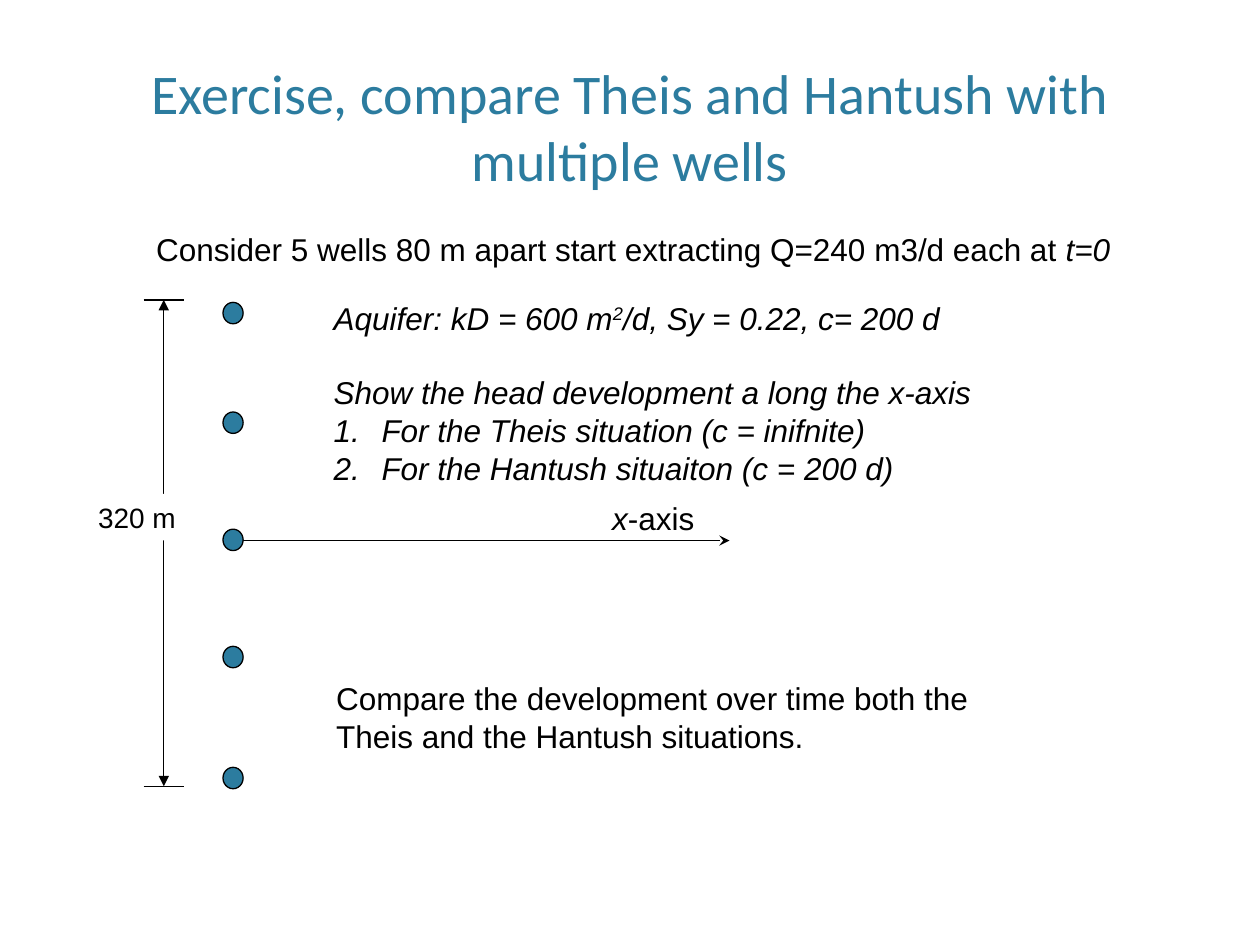
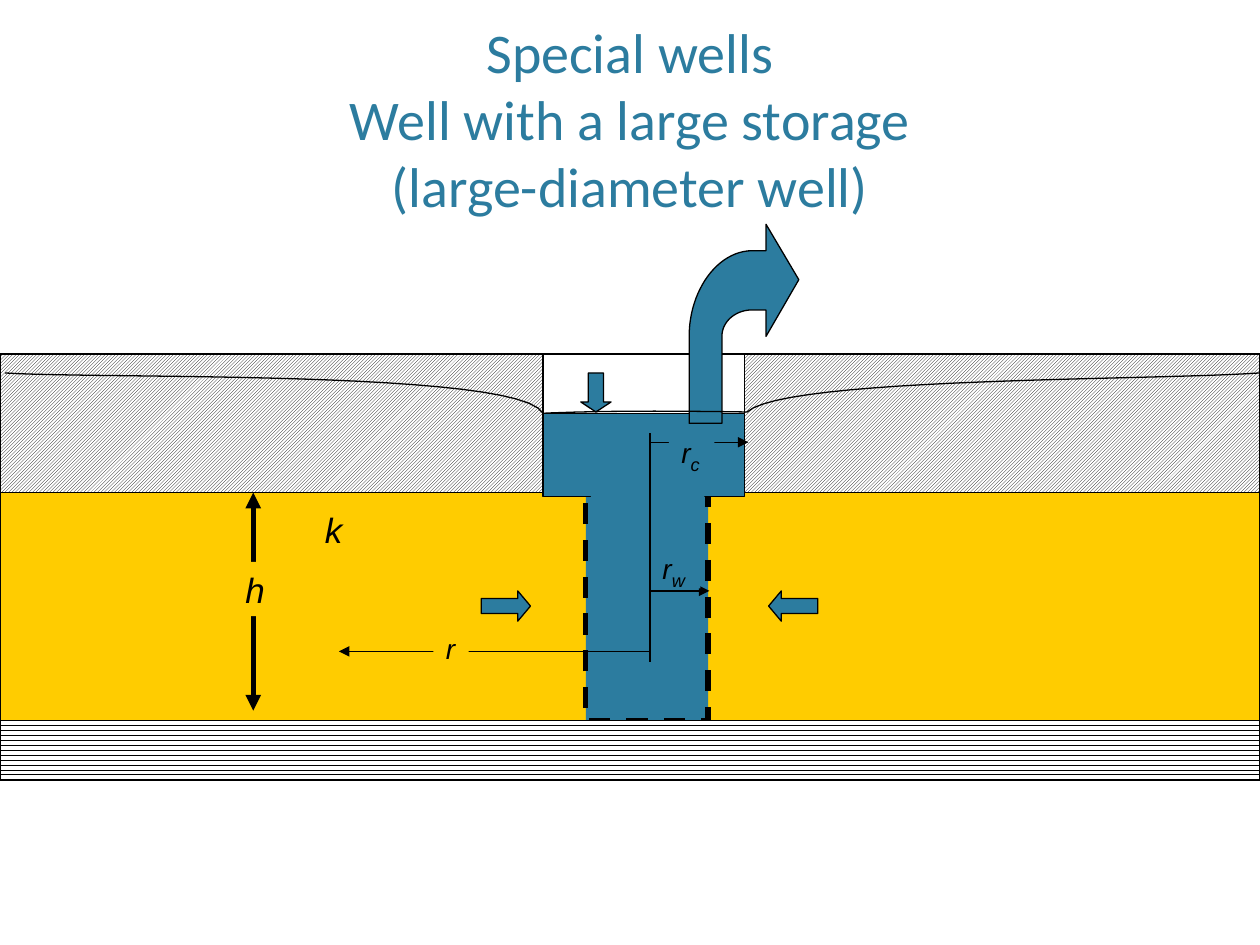
from dataclasses import dataclass
from typing import Optional

from lxml.etree import SubElement
from pptx import Presentation
from pptx.dml.color import RGBColor
from pptx.enum.dml import MSO_LINE_DASH_STYLE as Dash, MSO_PATTERN_TYPE as Pattern
from pptx.enum.shapes import MSO_CONNECTOR as Connector, MSO_SHAPE as Kind
from pptx.enum.text import MSO_ANCHOR as Anchor, MSO_AUTO_SIZE as AutoSize, PP_ALIGN as Align
from pptx.oxml.ns import qn
from pptx.util import Inches, Pt

BLACK = RGBColor(0x00, 0x00, 0x00)
WHITE = RGBColor(0xFF, 0xFF, 0xFF)
BLUE = RGBColor(0x2C, 0x7C, 0x9F)
SAND = RGBColor(0xFF, 0xCC, 0x00)
THIN, THICK = 0.75, 3
CURVE_STEPS = 24
WELL_TOPS = (2.4, 3.27, 4.2, 5.13, 6.09)


@dataclass
class Span:
    """A stretch of text with one format."""
    text: str
    italic: bool = False
    size: Optional[float] = None
    baseline: int = 0


@dataclass
class Para:
    """A paragraph of spans, numbered if asked."""
    spans: list[Span]
    numbered: bool = False
    space_before: float = 0


@dataclass
class Block:
    """A preset shape with its place and look."""
    kind: Kind
    left: float
    top: float
    width: float
    height: float
    fill: Optional[RGBColor] = None
    line: float = 0
    pattern: Optional[Pattern] = None
    dash: Optional[Dash] = None
    adjust: tuple = ()


@dataclass
class Stroke:
    """A straight line with optional arrowheads."""
    start: tuple[float, float]
    end: tuple[float, float]
    width: float = THIN
    head: str = ""
    tail: str = ""


@dataclass
class Label:
    """A text box that fits its words."""
    left: float
    top: float
    width: float
    height: float
    paras: list[Para]
    size: float = 18
    fill: Optional[RGBColor] = None
    wrap: bool = False


def write(frame, paras: list[Para], size: float = 18, font: str = "Arial",
          color: RGBColor = BLACK, align: Align = Align.LEFT) -> None:
    """Fill a text frame with formatted paragraphs."""
    for index, item in enumerate(paras):
        para = frame.add_paragraph() if index else frame.paragraphs[0]
        para.alignment = align
        if item.space_before:
            para.space_before = Pt(item.space_before)
        if item.numbered:
            properties = para._p.get_or_add_pPr()
            properties.set("marL", str(Inches(0.38)))
            properties.set("indent", str(-Inches(0.38)))
            SubElement(properties, qn("a:buFont"), typeface="+mj-lt")
            SubElement(properties, qn("a:buAutoNum"), type="arabicPeriod")
        for span in item.spans:
            run = para.add_run()
            run.text = span.text
            run.font.name = font
            run.font.size = Pt(span.size or size)
            run.font.italic = span.italic
            run.font.color.rgb = color
            if span.baseline:
                run._r.get_or_add_rPr().set("baseline", str(span.baseline * 1000))


def place(shape, left: float, top: float, width: float, height: float) -> None:
    """Set the frame of a shape in inches."""
    shape.left, shape.top = Inches(left), Inches(top)
    shape.width, shape.height = Inches(width), Inches(height)


def add_page(deck, title: list[str], top: float, height: float):
    """Add a title-only page with its title styled."""
    page = deck.slides.add_slide(deck.slide_layouts[5])
    box = page.shapes.title
    place(box, 0.6, top, 8.8, height)
    frame = box.text_frame
    frame.auto_size = AutoSize.NONE
    frame.vertical_anchor = Anchor.BOTTOM
    write(frame, [Para([Span(text)]) for text in title], size=32, font="Calibri",
          color=BLUE, align=Align.CENTER)
    return page


def outline(shape, width: float) -> None:
    """Give a shape a black line, or none."""
    if width:
        shape.line.color.rgb = BLACK
        shape.line.width = Pt(width)
    else:
        shape.line.fill.background()


def draw_block(page, block: Block) -> None:
    """Draw a preset shape."""
    shape = page.shapes.add_shape(block.kind, Inches(block.left), Inches(block.top),
                                  Inches(block.width), Inches(block.height))
    shape.shadow.inherit = False
    for index, value in enumerate(block.adjust):
        shape.adjustments[index] = value
    if block.pattern:
        shape.fill.patterned()
        shape.fill.pattern = block.pattern
        shape.fill.fore_color.rgb = BLACK
        shape.fill.back_color.rgb = WHITE
    else:
        shape.fill.solid()
        shape.fill.fore_color.rgb = block.fill
    outline(shape, block.line)
    if block.dash:
        shape.line.dash_style = block.dash


def draw_stroke(page, stroke: Stroke) -> None:
    """Draw a line with its arrowheads."""
    points = [Inches(value) for value in (*stroke.start, *stroke.end)]
    line = page.shapes.add_connector(Connector.STRAIGHT, *points)
    outline(line, stroke.width)
    for tag, end in (("a:headEnd", stroke.head), ("a:tailEnd", stroke.tail)):
        if end:
            SubElement(line.line._get_or_add_ln(), qn(tag), type=end)
    SubElement(line._element.spPr, qn("a:effectLst"))


def draw_label(page, label: Label) -> None:
    """Draw a text box, filled if asked."""
    box = page.shapes.add_textbox(Inches(label.left), Inches(label.top),
                                  Inches(label.width), Inches(label.height))
    if label.fill is not None:
        box.fill.solid()
        box.fill.fore_color.rgb = label.fill
    box.text_frame.word_wrap = label.wrap
    box.text_frame.auto_size = AutoSize.SHAPE_TO_FIT_TEXT
    write(box.text_frame, label.paras, size=label.size)


def draw_outline(page, start: tuple, steps: list[tuple], fill: Optional[RGBColor] = None) -> None:
    """Draw a freeform whose steps are points or cubic curves."""
    points = [start]
    for step in steps:
        if len(step) == 2:
            points.append(step)
            continue
        controls = (points[-1], step[:2], step[2:4], step[4:])
        for index in range(1, CURVE_STEPS + 1):
            t = index / CURVE_STEPS
            weights = ((1 - t) ** 3, 3 * t * (1 - t) ** 2, 3 * t * t * (1 - t), t ** 3)
            points.append(tuple(sum(w * c[axis] for w, c in zip(weights, controls))
                                for axis in (0, 1)))
    scaled = [(Inches(x), Inches(y)) for x, y in points]
    builder = page.shapes.build_freeform(*scaled[0])
    builder.add_line_segments(scaled[1:], close=fill is not None)
    shape = builder.convert_to_shape()
    shape.shadow.inherit = False
    if fill is None:
        shape.fill.background()
    else:
        shape.fill.solid()
        shape.fill.fore_color.rgb = fill
    outline(shape, THIN)


def draw_all(page, items: list) -> None:
    """Draw blocks, strokes and labels from back to front."""
    painters = {Block: draw_block, Stroke: draw_stroke, Label: draw_label}
    for item in items:
        painters[type(item)](page, item)


def symbol(left: float, top: float, width: float, height: float, text: str,
           fill: RGBColor, size: float = 16, index: str = "") -> Label:
    """Make an italic symbol label with an optional subscript."""
    spans = [Span(text, True)]
    if index:
        spans.append(Span(index, True, 18, -25))
    return Label(left, top, width, height, [Para(spans)], size, fill)


def build_exercise(deck) -> None:
    """Build the page with the row of five wells."""
    page = add_page(deck, ["Exercise, compare Theis and Hantush with multiple wells"], 0.12, 1.46)
    aquifer = [
        Para([Span("Aquifer: kD = 600 m", True), Span("2", True, baseline=30),
              Span("/d, Sy = 0.22, c= 200 d", True)]),
        Para([Span("Show the head development a long the x-axis", True)], space_before=21),
        Para([Span("For the Theis situation (c = inifnite)", True)], numbered=True),
        Para([Span("For the Hantush situaiton (c = 200 d)", True)], numbered=True),
    ]
    comparison = [Para([Span("Compare the development over time both the")]),
                  Para([Span("Theis and the Hantush situations.")])]
    intro = [Para([Span("Consider 5 wells 80 m apart start extracting Q=240 m3/d each at "),
                   Span("t=0", True)])]
    draw_all(page, [
        *(Stroke((1.14, y), (1.46, y)) for y in (2.38, 6.24)),
        Stroke((1.93, 4.29), (5.79, 4.29), tail="stealth"),
        Stroke((1.3, 6.24), (1.3, 2.38), head="triangle", tail="triangle"),
        Label(0.68, 3.92, 0.83, 0.37, [Para([Span("320 m")])], 16, WHITE),
        Label(2.55, 2.32, 6.46, 1.62, aquifer, wrap=True),
        Label(2.57, 5.34, 5.26, 0.71, comparison),
        Label(4.76, 3.91, 0.86, 0.4, [Para([Span("x", True), Span("-axis")])]),
        *(Block(Kind.OVAL, 1.77, top, 0.16, 0.17, BLUE, THIN) for top in WELL_TOPS),
        Label(1.14, 1.78, 7.85, 0.4, intro),
    ])


def build_large_well(deck) -> None:
    """Build the page with the cross-section of a large-diameter well."""
    page = add_page(deck, ["Special wells", "Well with a large storage",
                           "(large-diameter well)"], 1.15, 0.64)
    draw_all(page, [
        Block(Kind.RECTANGLE, 0, 3.28, 10, 2.44, SAND, THIN),
        Block(Kind.RECTANGLE, 4.65, 3.91, 0.97, 1.81, BLUE, THICK, dash=Dash.DASH),
        Block(Kind.RECTANGLE, 0, 5.72, 10, 0.47, line=THIN, pattern=Pattern.WAVE),
        Block(Kind.RECTANGLE, 0, 2.81, 10, 1.1, line=THIN,
              pattern=Pattern.LIGHT_UPWARD_DIAGONAL),
        Stroke((2.01, 3.91), (2.01, 5.64), THICK, "triangle", "triangle"),
        symbol(1.85, 4.46, 0.36, 0.43, "h", SAND, 20),
        Stroke((5.16, 5.17), (2.69, 5.17), tail="triangle"),
        symbol(3.44, 4.96, 0.28, 0.37, "r", SAND),
        Block(Kind.RECTANGLE, 4.31, 2.81, 1.6, 1.12, WHITE, THIN),
        Block(Kind.RECTANGLE, 4.31, 3.28, 1.6, 0.66, BLUE, THIN),
        Block(Kind.RECTANGLE, 4.69, 3.75, 0.9, 0.49, BLUE),
    ])
    draw_outline(page, (6.34, 2.22), [
        (6.08, 1.78), (6.08, 1.99), (5.97, 1.99), (5.7, 1.99, 5.47, 2.3, 5.47, 2.67),
        (5.47, 3.36), (5.73, 3.36), (5.73, 2.67), (5.73, 2.55, 5.84, 2.46, 5.97, 2.46),
        (6.08, 2.46), (6.08, 2.67)], BLUE)
    draw_all(page, [
        Stroke((5.16, 3.51), (5.94, 3.51), tail="triangle"),
        Stroke((5.16, 4.69), (5.63, 4.69), tail="triangle"),
        symbol(5.31, 3.38, 0.36, 0.37, "r", BLUE, index="c"),
        symbol(5.16, 4.3, 0.4, 0.37, "r", BLUE, index="w"),
        Stroke((5.16, 3.44), (5.16, 5.25)),
        Block(Kind.DOWN_ARROW, 4.61, 2.96, 0.24, 0.31, BLUE, THIN, adjust=(0.5, 0.33)),
        Block(Kind.RIGHT_ARROW, 3.82, 4.69, 0.39, 0.24, BLUE, THIN, adjust=(0.5, 0.42)),
        Block(Kind.LEFT_ARROW, 6.1, 4.69, 0.39, 0.24, BLUE, THIN, adjust=(0.5, 0.42)),
        symbol(2.48, 3.99, 0.34, 0.43, "k", SAND, 20),
    ])
    draw_outline(page, (0.04, 2.96), [
        (0.75, 3.01, 4.12, 2.93, 4.31, 3.28), (4.76, 3.26, 5.31, 3.26, 5.93, 3.27),
        (6.23, 2.99, 9.18, 3.02, 10, 2.96)])


def main() -> None:
    """Build the deck and save it."""
    deck = Presentation()
    deck.slide_width, deck.slide_height = Inches(10), Inches(7.5)
    build_exercise(deck)
    build_large_well(deck)
    deck.save("out.pptx")


if __name__ == "__main__":
    main()
